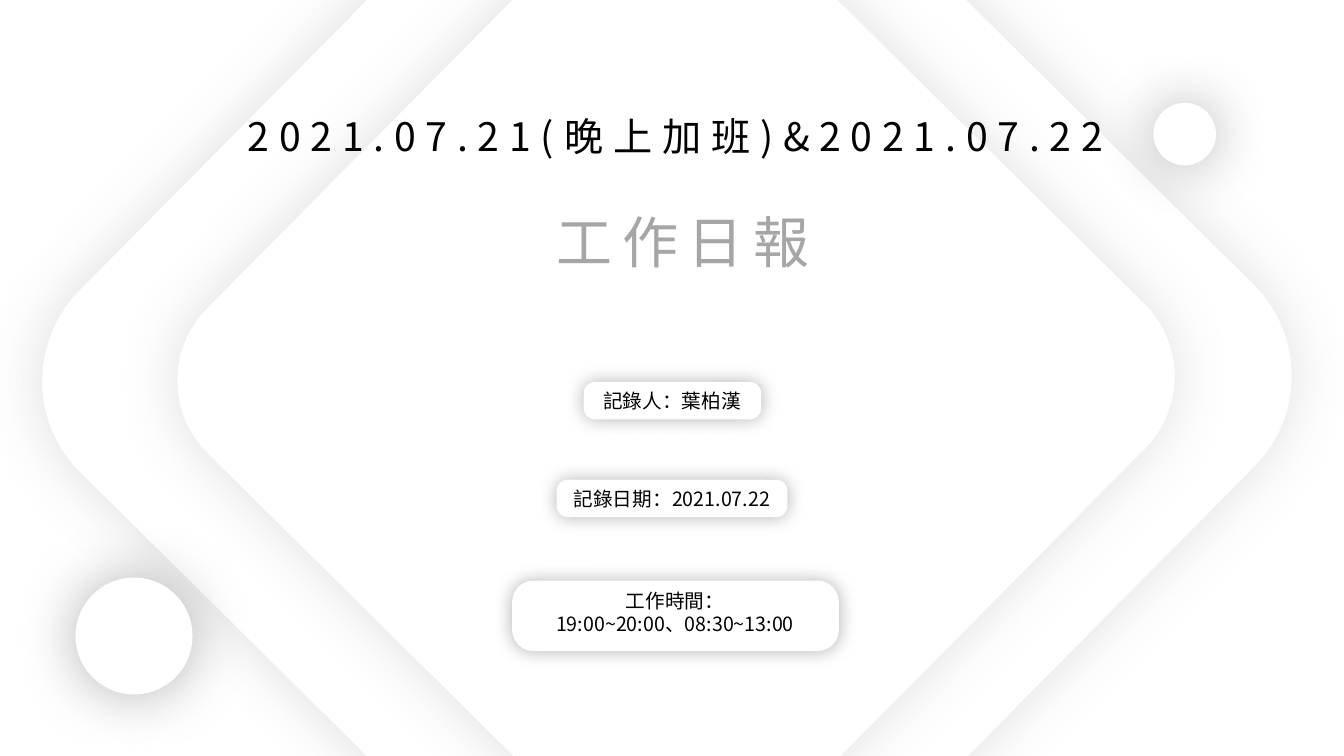
from dataclasses import dataclass

from lxml import etree
from pptx import Presentation
from pptx import util as u
from pptx.dml.color import RGBColor
from pptx.enum import shapes, text
from pptx.oxml import ns

FONT = "Noto Sans CJK SC"
WHITE = "FFFFFF"
BLACK = "000000"
GREY = "A6A6A6"
ROUNDED = shapes.MSO_SHAPE.ROUNDED_RECTANGLE
OVAL = shapes.MSO_SHAPE.OVAL


@dataclass(frozen=True)
class Box:
    left: float
    top: float
    width: float
    height: float

    def lengths(self) -> list[u.Length]:
        return [u.Inches(v) for v in (self.left, self.top, self.width, self.height)]


@dataclass(frozen=True)
class Glow:
    color: str
    opacity: int
    blur: int


@dataclass(frozen=True)
class Panel:
    kind: shapes.MSO_SHAPE
    box: Box
    glow: Glow
    rounding: float = 0
    rotation: float = 0


@dataclass(frozen=True)
class Caption:
    box: Box
    lines: tuple[str, ...]
    size: int = 14
    color: str = BLACK
    spacing: int = 0


@dataclass(frozen=True)
class Badge:
    panel: Panel
    caption: Caption


DIAMOND_GLOW = Glow("595959", 19, 43)
CIRCLE_GLOW = Glow(BLACK, 30, 43)
BADGE_GLOW = Glow(BLACK, 30, 13)

DIAMONDS = [
    Panel(ROUNDED, box, DIAMOND_GLOW, 0.134, 44.7)
    for box in (Box(1.86, -1, 9.51, 9.51), Box(2.91, -0.04, 7.59, 7.59))
]
HEADINGS = [
    Caption(Box(1.78, 1.07, 9.84, 0.57), ("2021.07.21(晚上加班)&2021.07.22",), 28, BLACK, 7),
    Caption(Box(4.4, 2.01, 4.75, 0.77), ("工作日報",), 40, GREY, 7),
]
CIRCLES = [
    Panel(OVAL, box, CIRCLE_GLOW)
    for box in (Box(0.75, 5.73, 1.16, 1.16), Box(11.44, 1.02, 0.62, 0.62))
]
BADGES = [
    Badge(Panel(ROUNDED, outline, BADGE_GLOW, 0.302), Caption(label, lines))
    for outline, label, lines in (
        (Box(5.79, 3.79, 1.76, 0.37), Box(5.62, 3.81, 2.09, 0.34), ("記錄人：葉柏漢",)),
        (Box(5.52, 4.76, 2.29, 0.37), Box(5.46, 4.78, 2.41, 0.34), ("記錄日期：2021.07.22",)),
        (
            Box(5.08, 5.76, 3.24, 0.7),
            Box(4.99, 5.79, 3.41, 0.57),
            ("工作時間：", "19:00~20:00、08:30~13:00"),
        ),
    )
]


def rgb(color: str) -> RGBColor:
    return RGBColor.from_string(color)


def apply_format(target, values: dict) -> None:
    for name, value in values.items():
        setattr(target, name, value)


def add_glow(shape, glow: Glow) -> None:
    shape.shadow.inherit = False
    effects = shape._element.spPr.find(ns.qn("a:effectLst"))
    shadow = etree.SubElement(
        effects,
        ns.qn("a:outerShdw"),
        blurRad=str(u.Pt(glow.blur)),
        dist="0",
        dir="0",
        algn="ctr",
        rotWithShape="0",
    )
    color = etree.SubElement(shadow, ns.qn("a:srgbClr"), val=glow.color)
    etree.SubElement(color, ns.qn("a:alpha"), val=str(glow.opacity * 1000))


def draw_panel(canvas, panel: Panel) -> None:
    shape = canvas.add_shape(panel.kind, *panel.box.lengths())
    shape.rotation = panel.rotation
    if panel.rounding:
        shape.adjustments[0] = panel.rounding
    shape.fill.solid()
    shape.fill.fore_color.rgb = rgb(WHITE)
    shape.line.fill.background()
    add_glow(shape, panel.glow)


def draw_caption(canvas, caption: Caption) -> None:
    frame = canvas.add_textbox(*caption.box.lengths()).text_frame
    apply_format(frame, {
        "word_wrap": True,
        "auto_size": text.MSO_AUTO_SIZE.SHAPE_TO_FIT_TEXT,
        "text": "\n".join(caption.lines),
    })
    for paragraph in frame.paragraphs:
        paragraph.alignment = text.PP_ALIGN.CENTER
        for run in paragraph.runs:
            apply_format(run.font, {"name": FONT, "size": u.Pt(caption.size)})
            run.font.color.rgb = rgb(caption.color)
            properties = run._r.get_or_add_rPr()
            etree.SubElement(properties, ns.qn("a:ea"), typeface=FONT)
            if caption.spacing:
                properties.set("spc", str(caption.spacing * 100))


def draw_badge(canvas, badge: Badge) -> None:
    group = canvas.add_group_shape()
    draw_panel(group.shapes, badge.panel)
    draw_caption(group.shapes, badge.caption)


def main() -> None:
    deck = Presentation()
    apply_format(deck, {"slide_width": u.Inches(13.33), "slide_height": u.Inches(7.5)})
    slide = deck.slides.add_slide(deck.slide_layouts[6])
    slide.background.fill.solid()
    slide.background.fill.fore_color.rgb = rgb(WHITE)
    for draw, parts in (
        (draw_panel, DIAMONDS),
        (draw_caption, HEADINGS),
        (draw_panel, CIRCLES),
        (draw_badge, BADGES),
    ):
        for part in parts:
            draw(slide.shapes, part)
    deck.save("out.pptx")


if __name__ == "__main__":
    main()
